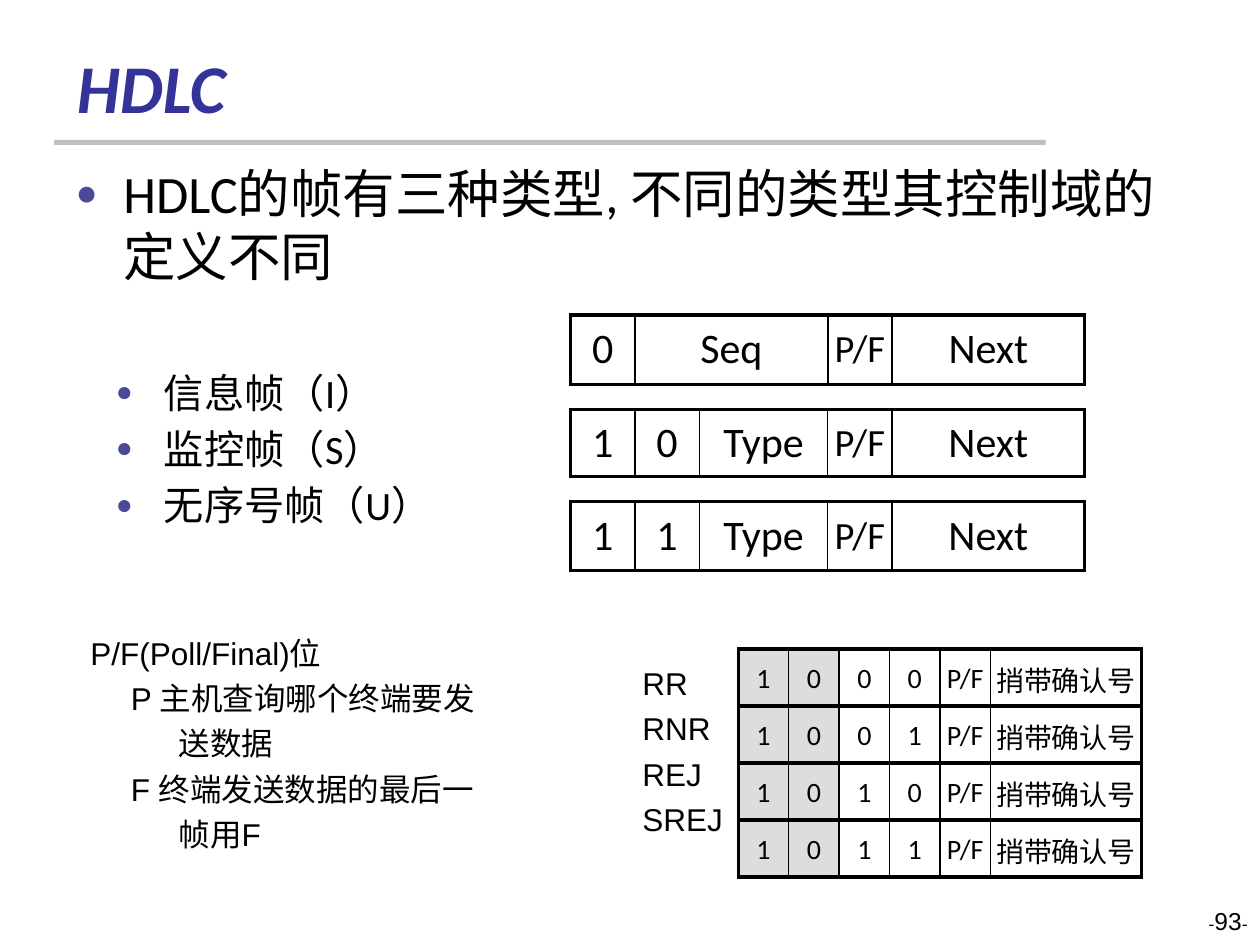
from lxml import etree
from pptx import Presentation
from pptx.dml.color import RGBColor
from pptx.enum.shapes import MSO_SHAPE
from pptx.enum.text import MSO_ANCHOR, MSO_AUTO_SIZE, PP_ALIGN
from pptx.oxml.ns import qn
from pptx.util import Inches, Pt

BLACK = RGBColor(0x00, 0x00, 0x00)
TITLE_BLUE = RGBColor(0x33, 0x33, 0x99)
BULLET_BLUE = RGBColor(0x4A, 0x4A, 0x97)
RULE_GRAY = RGBColor(0xBF, 0xBF, 0xBF)
CELL_GRAY = RGBColor(0xDD, 0xDD, 0xDD)
LEFT, CENTER, RIGHT = PP_ALIGN.LEFT, PP_ALIGN.CENTER, PP_ALIGN.RIGHT
MIDDLE, BOTTOM = MSO_ANCHOR.MIDDLE, MSO_ANCHOR.BOTTOM
RECTANGLE = MSO_SHAPE.RECTANGLE
NO_AUTOFIT = MSO_AUTO_SIZE.NONE


def write(frame, text, size, font="Arial", color=BLACK, align=LEFT, spacing=1.0,
          before=0, indent=None, bullet=False, bold=False, italic=False):
    """Fill the first paragraph of a frame, or add one after existing text."""
    paragraph = frame.paragraphs[0] if not frame.text else frame.add_paragraph()
    properties = paragraph._p.get_or_add_pPr()
    if indent is not None:
        properties.set("marL", str(Inches(indent)))
        properties.set("indent", str(Inches(-0.38)))
    if bullet:
        bullet_color = etree.SubElement(properties, qn("a:buClr"))
        etree.SubElement(bullet_color, qn("a:srgbClr"), val=str(BULLET_BLUE))
        etree.SubElement(properties, qn("a:buSzPct"), val="70000")
        etree.SubElement(properties, qn("a:buChar"), char="●")
    paragraph.alignment = align
    paragraph.line_spacing = spacing
    paragraph.space_before = Pt(before)
    run = paragraph.add_run()
    run.text = text
    run.font.name, run.font.size = font, Pt(size)
    run.font.bold, run.font.italic = bold, italic
    run.font.color.rgb = color
    return paragraph


def add_grid(shapes, left, top, unit, spans, row_height, rows, size, label_size,
             spacing=1.0, margin=0.04, gray_columns=0):
    """Add a bordered table whose columns are multiples of one bit width."""
    table = shapes.add_table(len(rows), len(spans), Inches(left), Inches(top),
                             Inches(unit * sum(spans)),
                             Inches(row_height * len(rows))).table
    table.first_row = table.horz_banding = False
    for column, span in zip(table.columns, spans):
        column.width = Inches(unit * span)
    for row_index, values in enumerate(rows):
        table.rows[row_index].height = Inches(row_height)
        for column_index, value in enumerate(values):
            cell = table.cell(row_index, column_index)
            side = 0 if value == "P/F" else 0.04
            cell.margin_left = cell.margin_right = Inches(side)
            cell.margin_top = cell.margin_bottom = Inches(margin)
            cell.vertical_anchor = MIDDLE
            write(cell.text_frame, value, label_size if value == "P/F" else size,
                  font="Calibri", align=CENTER, spacing=spacing)
            # Thick outline and row lines, thin column lines
            widths = {"a:lnL": 2.25 if column_index == 0 else 1,
                      "a:lnR": 2.25 if column_index == len(spans) - 1 else 1,
                      "a:lnT": 2.25, "a:lnB": 2.25}
            for tag, width in widths.items():
                line = etree.SubElement(cell._tc.get_or_add_tcPr(), qn(tag),
                                        w=str(Pt(width)))
                line_fill = etree.SubElement(line, qn("a:solidFill"))
                etree.SubElement(line_fill, qn("a:srgbClr"), val=str(BLACK))
            if column_index < gray_columns:
                cell.fill.solid()
                cell.fill.fore_color.rgb = CELL_GRAY
            else:
                cell.fill.background()


presentation = Presentation()
presentation.slide_width, presentation.slide_height = Inches(10), Inches(7.5)
slide = presentation.slides.add_slide(presentation.slide_layouts[1])
shapes = slide.shapes

# Title and the rule under it
rule = shapes.add_shape(RECTANGLE, Inches(0.43), Inches(1.11), Inches(7.87), Inches(0.04))
rule.shadow.inherit = False
rule.fill.solid()
rule.fill.fore_color.rgb = RULE_GRAY
rule.line.fill.background()

title = shapes.title
title.left, title.top = Inches(0.51), Inches(0.28)
title.width, title.height = Inches(8.25), Inches(0.78)
title.text_frame.auto_size = NO_AUTOFIT
title.text_frame.vertical_anchor = BOTTOM
write(title.text_frame, "HDLC", 39, font="Calibri", color=TITLE_BLUE, bold=True, italic=True)

# Statement and the three frame types
body = slide.placeholders[1]
body.left, body.top, body.width, body.height = Inches(0.5), Inches(1.23), Inches(9), Inches(3.46)
body.text_frame.auto_size = NO_AUTOFIT
write(body.text_frame, "HDLC的帧有三种类型, 不同的类型其控制域的定义不同", 30,
      font="Calibri", indent=0.38, bullet=True)
for name, before in (("信息帧（I）", 46), ("监控帧（S）", 4.6), ("无序号帧（U）", 4.6)):
    paragraph = write(body.text_frame, name, 23, font="Calibri", before=before,
                      indent=0.7, bullet=True)
    paragraph.level = 1

# Control field of each frame type
control_fields = [
    (2.5, 0.55, (1, 3, 1, 3), ("0", "Seq", "P/F", "Next")),
    (3.25, 0.53, (1, 1, 2, 1, 3), ("1", "0", "Type", "P/F", "Next")),
    (3.98, 0.55, (1, 1, 2, 1, 3), ("1", "1", "Type", "P/F", "Next")),
]
for top, height, spans, values in control_fields:
    add_grid(shapes, 4.53, top, 0.51, spans, height, [values], 24, 22)

# Supervisory frame codes
codes = ("00", "01", "10", "11")
rows = [("1", "0", *code, "P/F", "捎带确认号") for code in codes]
add_grid(shapes, 5.86, 5.15, 0.4, (1, 1, 1, 1, 1, 3), 0.39, rows, 16, 16,
         spacing=1.1, margin=0.05, gray_columns=2)

# Poll/Final note and supervisory frame names
notes = [
    (0.62, 4.92, 1.92, [("P/F(Poll/Final)位", None), ("P 主机查询哪个终端要发送数据", 0.7),
                        ("F 终端发送数据的最后一帧用F", 0.7)]),
    (5, 5.16, 1.56, [(name, None) for name in ("RR", "RNR", "REJ", "SREJ")]),
]
for left, top, height, lines in notes:
    box = shapes.add_textbox(Inches(left), Inches(top), Inches(3.36), Inches(height))
    box.text_frame.word_wrap = True
    for text, indent in lines:
        write(box.text_frame, text, 18, spacing=1.2, indent=indent)

# Page number
page = shapes.add_textbox(Inches(7.67), Inches(7.14), Inches(2.33), Inches(0.5))
page.text_frame.word_wrap = True
paragraph = write(page.text_frame, "-", 10, align=RIGHT)
for text, size in (("93", 14), ("-", 10)):
    run = paragraph.add_run()
    run.text = text
    run.font.name, run.font.size = "Arial", Pt(size)
    run.font.color.rgb = BLACK

presentation.save("out.pptx")
